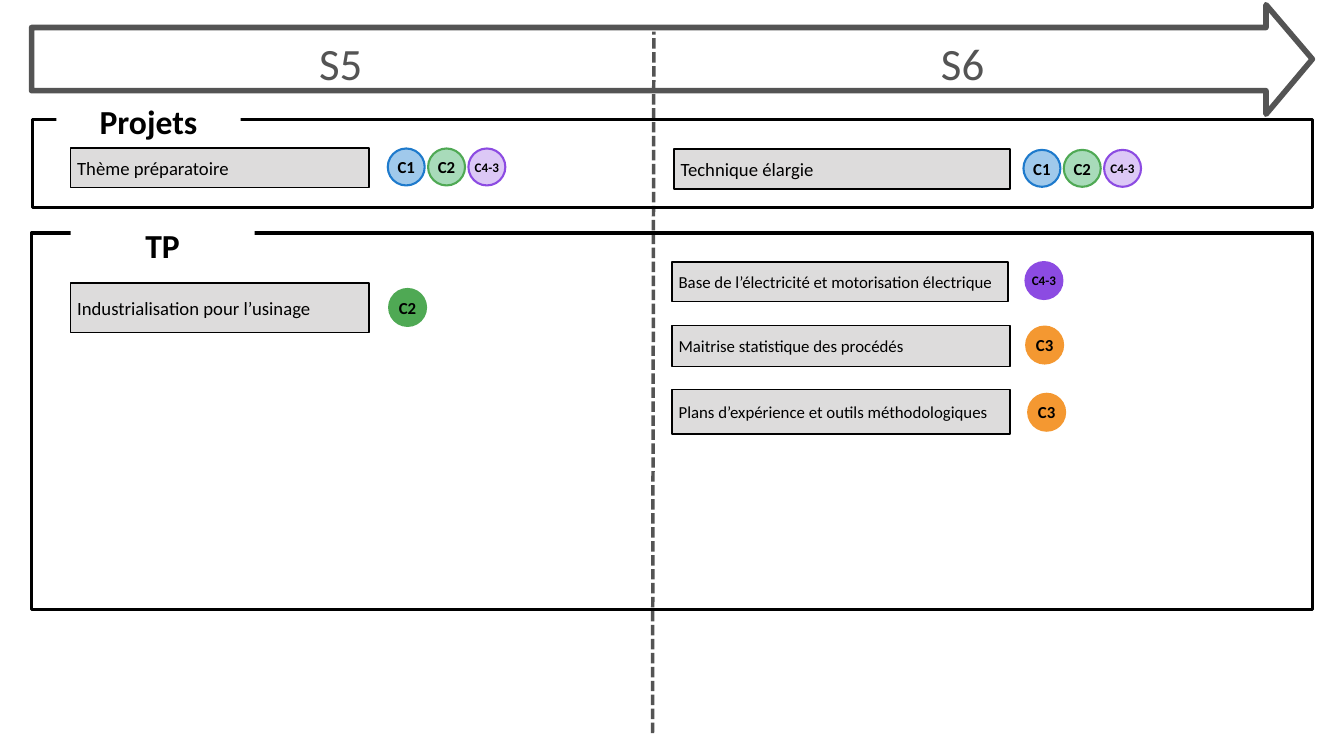
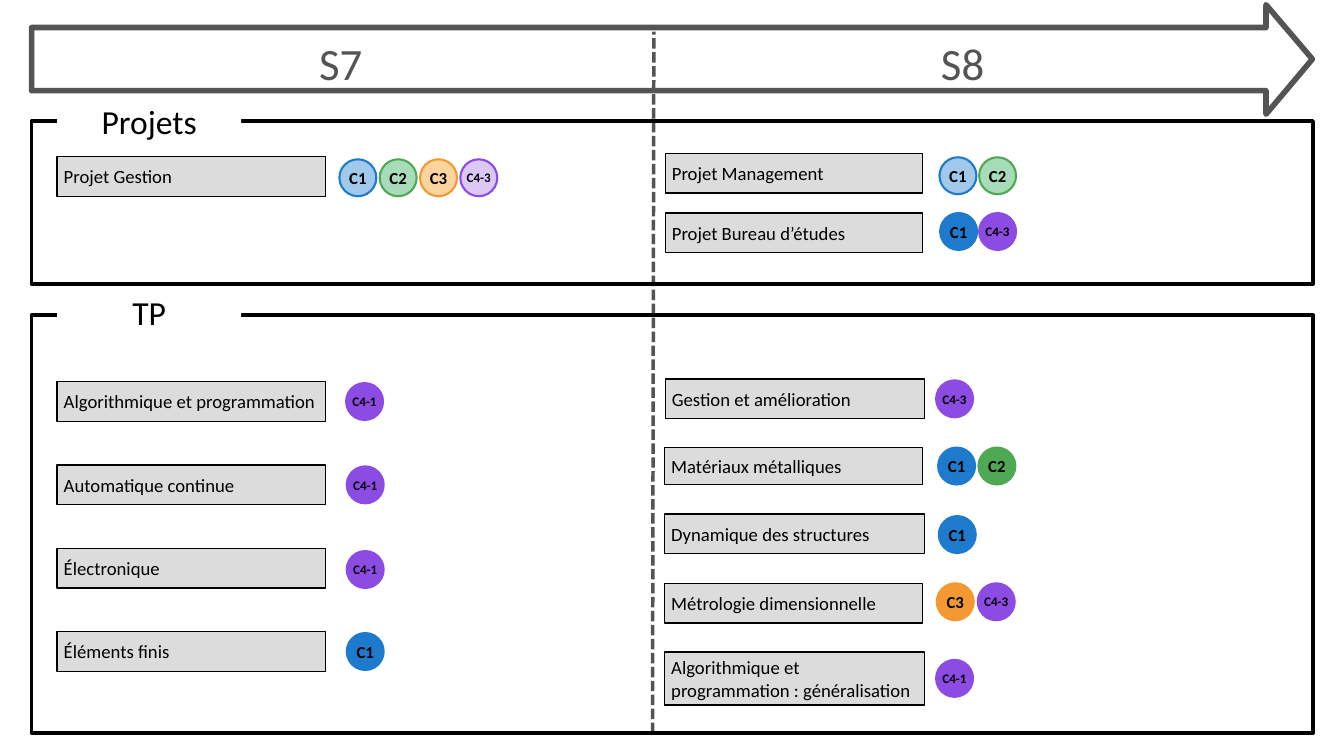
from dataclasses import dataclass

from lxml import etree
from pptx import Presentation
from pptx.dml.color import RGBColor
from pptx.enum.dml import MSO_LINE
from pptx.enum.shapes import MSO_CONNECTOR, MSO_SHAPE
from pptx.enum.text import MSO_ANCHOR, MSO_AUTO_SIZE, PP_ALIGN
from pptx.oxml.ns import qn
from pptx.util import Pt

EMU_PER_PX = 9144
RECTANGLE, ELLIPSE = MSO_SHAPE.RECTANGLE, MSO_SHAPE.OVAL
STRAIGHT, SHORT_DASH = MSO_CONNECTOR.STRAIGHT, MSO_LINE.SQUARE_DOT
TOP, MIDDLE = MSO_ANCHOR.TOP, MSO_ANCHOR.MIDDLE
LEFT, CENTER = PP_ALIGN.LEFT, PP_ALIGN.CENTER
GROW = MSO_AUTO_SIZE.SHAPE_TO_FIT_TEXT

SLIDE_SIZE = (2000, 1125)
HEADER_BOX = (47, 7, 1907, 163)
ARROW_OUTLINE = [(1906, 81), (1837, 0), (1837, 34), (0, 34),
                 (0, 128), (1837, 128), (1837, 163)]
SEMESTER_SLOTS = [(3, 914), (934, 903)]
LABEL_SIZE = (274, 61)
BADGE_SIZE = 55
NO_MARGINS = dict.fromkeys(
    ("margin_left", "margin_top", "margin_right", "margin_bottom"), 0)


@dataclass(frozen=True)
class Theme:
    """Colours, font and type sizes shared by the slides."""
    font = "Calibri"
    ink = "000000"
    arrow = "545454"
    paper = "FFFFFF"
    course = "DDDCDC"
    skills = {"C1": "1E7ACC", "C2": "4FA954", "C3": "F49831", "C4": "8C4BE2"}
    tints = {"C1": ("A0C9EB", 100), "C2": ("A8DBBA", 100),
             "C3": ("FBD49E", 100), "C4": ("8C4BE2", 30)}
    semester_size = 48
    label_size = 36
    course_size = 20
    small_course_size = 18
    badge_size = 18
    long_badge_size = 14
    semester_leading = 62.4
    arrow_line = 6
    frame_line = 3.75
    badge_line = 2.25
    course_line = 1.5


@dataclass(frozen=True)
class Course:
    """A course box within its frame, with the skill badges to its right."""
    title: str
    box: tuple
    badge_gap: int
    badge_drop: int
    skills: str
    tinted: bool = False
    size: int = Theme.course_size
    pitch: int = 60


@dataclass(frozen=True)
class Section:
    """A framed group of courses with a label on its top edge."""
    label: str
    box: tuple
    label_offset: tuple
    anchor: int
    bold: bool
    courses: list


def px(length):
    """Turn px into EMU."""
    return length * EMU_PER_PX


def set_values(target, values):
    """Set each named attribute on the target."""
    for name, value in values.items():
        setattr(target, name, value)


def paint(shape, fill=None, opacity=100, line=None, width=0):
    """Give a shape its fill and outline, and no shadow."""
    shape.shadow.inherit = False
    if fill:
        shape.fill.solid()
        shape.fill.fore_color.rgb = RGBColor.from_string(fill)
        if opacity < 100:
            color = shape.fill._xPr.find(".//" + qn("a:srgbClr"))
            etree.SubElement(color, qn("a:alpha"), val=str(opacity * 1000))
    else:
        shape.fill.background()
    if line:
        shape.line.color.rgb = RGBColor.from_string(line)
        shape.line.width = Pt(width)
    else:
        shape.line.fill.background()


def write(shape, text, size, color=Theme.ink, bold=False, align=CENTER,
          frame_values=None, leading=None):
    """Write one paragraph into a shape."""
    frame = shape.text_frame
    frame.text = text
    set_values(frame, {"word_wrap": True, "vertical_anchor": MIDDLE,
                       **(frame_values or {})})
    paragraph = frame.paragraphs[0]
    paragraph.alignment = align
    if leading:
        paragraph.line_spacing = Pt(leading)
    font = paragraph.runs[0].font
    set_values(font, {"name": Theme.font, "size": Pt(size), "bold": bold})
    font.color.rgb = RGBColor.from_string(color)


def add_block(slide, kind, box, **look):
    """Add a painted preset shape."""
    block = slide.shapes.add_shape(kind, *map(px, box))
    paint(block, **look)
    return block


def add_header(slide, box, semesters):
    """Add the timeline arrow, the semester divider and both semester names."""
    left, top, _, _ = box
    builder = slide.shapes.build_freeform(*ARROW_OUTLINE[0], scale=EMU_PER_PX)
    builder.add_line_segments(ARROW_OUTLINE[1:], close=True)
    arrow = builder.convert_to_shape(px(left), px(top))
    paint(arrow, line=Theme.arrow, width=Theme.arrow_line)

    divider = slide.shapes.add_connector(
        STRAIGHT, px(left + 924), px(top + 1084), px(left + 926), px(top + 40))
    set_values(divider.line, {"width": Pt(Theme.frame_line),
                              "dash_style": SHORT_DASH})
    divider.line.color.rgb = RGBColor.from_string(Theme.arrow)
    etree.SubElement(divider._element.spPr, qn("a:effectLst"))

    for semester, (offset, width) in zip(semesters, SEMESTER_SLOTS):
        name = slide.shapes.add_textbox(
            px(left + offset), px(top + 39), px(width), px(83))
        write(name, semester, Theme.semester_size, Theme.arrow,
              frame_values={**NO_MARGINS, "vertical_anchor": TOP,
                            "auto_size": GROW},
              leading=Theme.semester_leading)


def add_badges(slide, left, top, course):
    """Add a row of skill badges from a starting point."""
    for index, skill in enumerate(course.skills.split()):
        family = skill[:2]
        color = Theme.skills[family]
        fill, opacity = Theme.tints[family] if course.tinted else (color, 100)
        badge = add_block(
            slide, ELLIPSE,
            (left + index * course.pitch, top, BADGE_SIZE, BADGE_SIZE),
            fill=fill, opacity=opacity, line=color, width=Theme.badge_line)
        size = Theme.badge_size if skill == family else Theme.long_badge_size
        write(badge, skill, size, bold=True, frame_values=NO_MARGINS)


def add_course(slide, origin, course):
    """Add a course box and its badges relative to the frame's corner."""
    left, top = origin[0] + course.box[0], origin[1] + course.box[1]
    width, height = course.box[2:]
    block = add_block(slide, RECTANGLE, (left, top, width, height),
                      fill=Theme.course, line=Theme.ink,
                      width=Theme.course_line)
    write(block, course.title, course.size, align=LEFT)
    add_badges(slide, left + width + course.badge_gap,
               top + course.badge_drop, course)


def add_section(slide, section):
    """Add a frame, its label and its courses."""
    left, top = section.box[:2]
    add_block(slide, RECTANGLE, section.box, line=Theme.ink,
              width=Theme.frame_line)
    shift, rise = section.label_offset
    label = add_block(slide, RECTANGLE, (left + shift, top + rise, *LABEL_SIZE),
                      fill=Theme.paper)
    write(label, section.label, Theme.label_size, bold=section.bold,
          frame_values={"vertical_anchor": section.anchor})
    for course in section.courses:
        add_course(slide, (left, top), course)


def add_year(deck, semesters, sections):
    """Add the slide for one year of two semesters."""
    slide = deck.slides.add_slide(deck.slide_layouts[6])
    add_header(slide, HEADER_BOX, semesters)
    for section in sections:
        add_section(slide, section)


SMALL = Theme.small_course_size
AUTUMN_LABS = [("Algorithmique et programmation", 31, 2, "C4-1"),
               ("Automatique continue", 32, 2, "C4-1"),
               ("Électronique", 32, 4, "C4-1"),
               ("Éléments finis", 32, 2, "C1")]

YEARS = [
    (("S5", "S6"), [
        Section("Projets", (48, 178, 1905, 131), (36, -29), MIDDLE, True, [
            Course("Thème préparatoire", (57, 42, 444, 59), 28, 1,
                   "C1 C2 C4-3", tinted=True),
            Course("Technique élargie", (955, 44, 500, 59), 20, 1,
                   "C1 C2 C4-3", tinted=True),
        ]),
        Section("TP", (47, 347, 1906, 560), (58, -17), TOP, True, [
            Course("Industrialisation pour l’usinage", (58, 74, 444, 74),
                   30, 9, "C2"),
            Course("Base de l’électricité et motorisation électrique",
                   (953, 43, 500, 59), 26, 0, "C4-3", size=SMALL),
            Course("Maitrise statistique des procédés",
                   (953, 137, 503, 61), 24, 2, "C3", size=SMALL),
            Course("Plans d’expérience et outils méthodologiques",
                   (953, 233, 503, 66), 27, 6, "C3", size=SMALL),
        ]),
    ]),
    (("S7", "S8"), [
        Section("Projets", (47, 180, 1907, 243), (38, -30), MIDDLE, False, [
            Course("Projet Gestion", (38, 53, 399, 59), 21, 4,
                   "C1 C2 C3 C4-3", tinted=True),
            Course("Projet Management", (943, 48, 383, 59), 25, 6,
                   "C1 C2", tinted=True, pitch=59),
            Course("Projet Bureau d’études", (943, 137, 383, 59), 26, 0,
                   "C1 C4-3", pitch=58),
        ]),
        Section("TP", (47, 469, 1907, 622), (38, -39), TOP, False, [
            *(Course(title, (38, 99 + 124 * row, 399, 59), gap, drop, skills)
              for row, (title, gap, drop, skills) in enumerate(AUTUMN_LABS)),
            Course("Gestion et amélioration", (943, 95, 386, 59), 17, 2,
                   "C4-3"),
            Course("Matériaux métalliques", (942, 197, 384, 55), 23, 0,
                   "C1 C2"),
            Course("Dynamique des structures", (942, 296, 387, 59), 21, 3,
                   "C1"),
            Course("Métrologie dimensionnelle", (942, 399, 384, 59), 21, 0,
                   "C3 C4-3", pitch=61),
            Course("Algorithmique et programmation : généralisation",
                   (942, 501, 387, 79), 17, 12, "C4-1"),
        ]),
    ]),
]


def main():
    """Build the deck and save it."""
    deck = Presentation()
    deck.slide_width, deck.slide_height = map(px, SLIDE_SIZE)
    for semesters, sections in YEARS:
        add_year(deck, semesters, sections)
    deck.save("out.pptx")


if __name__ == "__main__":
    main()
